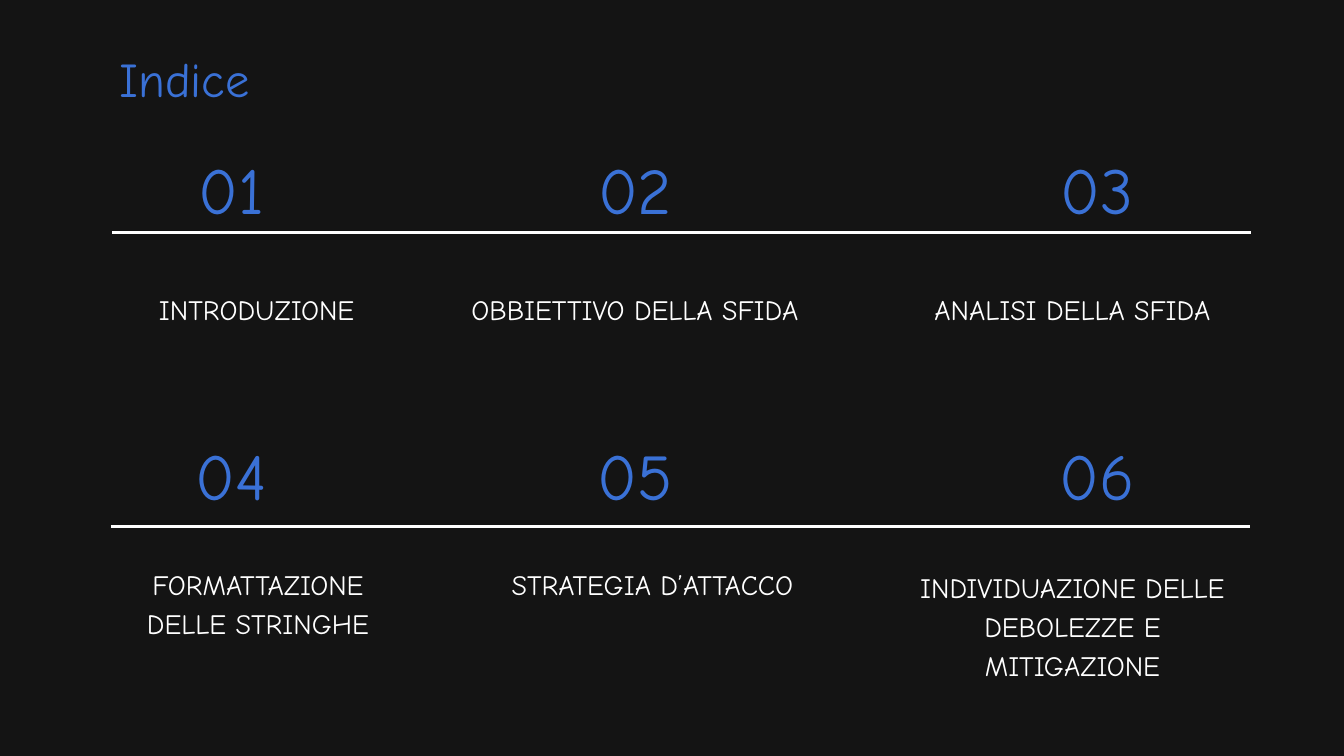
from dataclasses import dataclass

from lxml.etree import SubElement
from pptx import Presentation
from pptx.dml.color import RGBColor
from pptx.enum.shapes import MSO_CONNECTOR as Connector
from pptx.enum.text import MSO_AUTO_SIZE as AutoSize, PP_ALIGN as Align
from pptx.oxml.ns import qn
from pptx.slide import Slide
from pptx.util import Inches, Pt

COLORS = {"background": "141414", "accent": "3A71D6", "text": "FFFFFF"}
FONT = "Comic Neue"
LINE_SPACING = 1.4
RULE_LENGTH = 16.95
NUMBER_LEFTS = (2.75, 8.76, 15.64)


@dataclass(frozen=True)
class Label:
    text: str
    left: float
    top: float
    width: float
    height: float


@dataclass(frozen=True)
class Row:
    number_top: float
    rule_left: float
    rule_top: float
    topics: tuple[Label, ...]


ROWS = (
    Row(2.02, 1.67, 3.46, (
        Label("INTRODUZIONE", 1.65, 4.27, 4.34, 0.56),
        Label("OBBIETTIVO DELLA SFIDA", 6.01, 4.27, 6.88, 0.56),
        Label("ANALISI DELLA SFIDA", 12.52, 4.27, 6.88, 0.56),
    )),
    Row(6.28, 1.65, 7.83, (
        Label("FORMATTAZIONE DELLE STRINGHE", 1.67, 8.36, 4.34, 1.15),
        Label("STRATEGIA D’ATTACCO", 7.26, 8.36, 4.9, 1.15),
        Label("INDIVIDUAZIONE DELLE DEBOLEZZE E MITIGAZIONE", 13.51, 8.4, 4.9, 1.73),
    )),
)


def color(name: str) -> RGBColor:
    return RGBColor.from_string(COLORS[name])


def add_label(page: Slide, label: Label, size: int, color_name: str) -> None:
    box = page.shapes.add_textbox(
        Inches(label.left), Inches(label.top), Inches(label.width), Inches(label.height)
    )
    frame = box.text_frame
    frame.margin_left = frame.margin_right = frame.margin_top = frame.margin_bottom = 0
    frame.word_wrap = True
    frame.auto_size = AutoSize.SHAPE_TO_FIT_TEXT
    para = frame.paragraphs[0]
    para.alignment = Align.CENTER
    para.line_spacing = Pt(size * LINE_SPACING)
    span = para.add_run()
    span.text = label.text
    span.font.name = FONT
    span.font.size = Pt(size)
    span.font.color.rgb = color(color_name)


def add_rule(page: Slide, left: float, top: float) -> None:
    rule = page.shapes.add_connector(
        Connector.STRAIGHT, Inches(left), Inches(top), Inches(left + RULE_LENGTH), Inches(top)
    )
    rule.line.color.rgb = color("text")
    rule.line.width = Pt(3)
    SubElement(rule._element.spPr, qn("a:effectLst"))


def add_row(page: Slide, row: Row, first_number: int) -> None:
    add_rule(page, row.rule_left, row.rule_top)
    for number, (left, topic) in enumerate(zip(NUMBER_LEFTS, row.topics), first_number):
        add_label(page, Label(f"{number:02}", left, row.number_top, 1.38, 1.3), 70, "accent")
        add_label(page, topic, 30, "text")


def main() -> None:
    deck = Presentation()
    deck.slide_width = Inches(20)
    deck.slide_height = Inches(11.25)
    page = deck.slides.add_slide(deck.slide_layouts[6])
    page.background.fill.solid()
    page.background.fill.fore_color.rgb = color("background")

    add_label(page, Label("Indice", 1.66, 0.59, 2.17, 0.97), 52, "accent")
    for index, row in enumerate(ROWS):
        add_row(page, row, index * len(NUMBER_LEFTS) + 1)

    deck.save("out.pptx")


if __name__ == "__main__":
    main()
